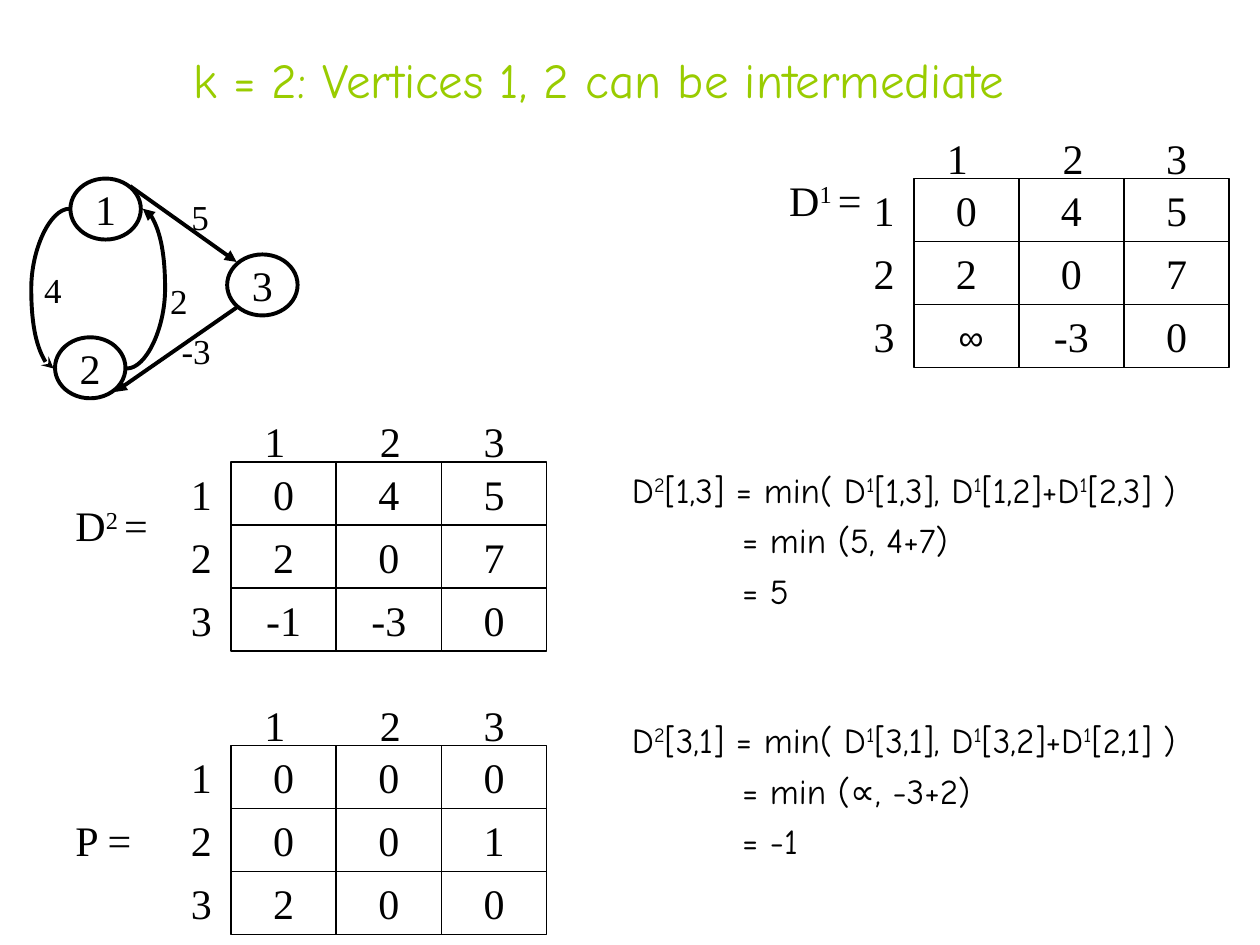
from lxml import etree
from pptx import Presentation
from pptx.dml.color import RGBColor
from pptx.enum.shapes import MSO_CONNECTOR, MSO_SHAPE
from pptx.enum.text import MSO_ANCHOR, PP_ALIGN
from pptx.oxml.ns import qn
from pptx.util import Cm, Pt

RECTANGLE, OVAL = MSO_SHAPE.RECTANGLE, MSO_SHAPE.OVAL
STRAIGHT, CURVE = MSO_CONNECTOR.STRAIGHT, MSO_CONNECTOR.CURVE
LEFT, CENTER = PP_ALIGN.LEFT, PP_ALIGN.CENTER
TOP, MIDDLE = MSO_ANCHOR.TOP, MSO_ANCHOR.MIDDLE

SERIF, COMIC, SANS = "Times New Roman", "Comic Neue", "Arial"
BLACK, GREEN = "000000", "99CC00"
CELL_WIDTH, CELL_HEIGHT, LABEL_WIDTH = 2.12, 1.27, 0.93


def colour(value):
    return RGBColor.from_string(value)


def write(para, text, size=24, font=SERIF, ink=BLACK, align=LEFT):
    """Write text in which ^...^ marks a superscript."""
    para.alignment = align
    for index, part in enumerate(text.split("^")):
        if not part:
            continue
        span = para.add_run()
        span.text = part
        span.font.size, span.font.name = Pt(size), font
        span.font.color.rgb = colour(ink)
        if index % 2:
            span.font._element.set("baseline", "30000")


def add_label(shapes, left, top, width, height, text, **style):
    box = shapes.add_textbox(Cm(left), Cm(top), Cm(width), Cm(height))
    box.text_frame.word_wrap = False
    write(box.text_frame.paragraphs[0], text, **style)
    return box


def add_outlined(shapes, kind, left, top, width, height, weight, text, **style):
    shape = shapes.add_shape(kind, Cm(left), Cm(top), Cm(width), Cm(height))
    shape.shadow.inherit = False
    shape.fill.background()
    shape.line.color.rgb = colour(BLACK)
    shape.line.width = Pt(weight)
    frame = shape.text_frame
    frame.word_wrap = False
    frame.vertical_anchor = MIDDLE
    write(frame.paragraphs[0], text, align=CENTER, **style)


def add_arrow(shapes, kind, start, end, arrow_end="tailEnd", arrow="triangle", bend=None):
    line = shapes.add_connector(kind, *(Cm(value) for value in start + end))
    line.line.color.rgb = colour(BLACK)
    line.line.width = Pt(2.25)
    properties = line._element.spPr
    etree.SubElement(properties.find(qn("a:ln")), qn(f"a:{arrow_end}"), type=arrow)
    etree.SubElement(properties, qn("a:effectLst"))
    if bend is not None:
        guides = properties.find(qn("a:prstGeom")).get_or_add_avLst()
        etree.SubElement(guides, qn("a:gd"), name="adj1", fmla=f"val {bend}")


def add_title(page, left, top, width, height):
    box = add_label(page.shapes, left, top, width, height,
                    "k = 2: Vertices 1, 2 can be intermediate",
                    size=28, font=COMIC, ink=GREEN, align=CENTER)
    box.text_frame.word_wrap = True
    box.text_frame.vertical_anchor = MIDDLE


def add_matrix(page, left, top, rows):
    """Draw a numbered matrix whose first cell starts at left, top."""
    shapes = page.shapes.add_group_shape().shapes
    for row, values in enumerate(rows):
        for column, value in enumerate(values):
            style = {"size": 20, "font": SANS} if "∞" in value else {}
            add_outlined(shapes, RECTANGLE, left + column * CELL_WIDTH,
                         top + row * CELL_HEIGHT, CELL_WIDTH, CELL_HEIGHT,
                         1, value, **style)
    # Column numbers above, row numbers to the left
    for index, offset in enumerate((0.42, 2.75, 4.84)):
        number = str(index + 1)
        add_label(shapes, left + offset, top - 1.06, LABEL_WIDTH, CELL_HEIGHT, number)
        add_label(shapes, left - 1.06, top + index * CELL_HEIGHT,
                  LABEL_WIDTH, CELL_HEIGHT, number)


def add_graph(page, left, top):
    shapes = page.shapes.add_group_shape().shapes

    def at(x, y):
        return left + x, top + y

    # Vertices
    for name, x, y in (("1", 0.78, 0), ("2", 0.47, 3.2), ("3", 3.94, 1.53)):
        add_outlined(shapes, OVAL, *at(x, y), 1.42, 1.23, 2.25, name)
    # Edges
    add_arrow(shapes, STRAIGHT, at(1.98, 0.15), at(4.13, 1.68))
    add_arrow(shapes, STRAIGHT, at(4.13, 2.6), at(1.68, 4.3))
    add_arrow(shapes, CURVE, at(0.44, 3.83), at(0.76, 0.61),
              "headEnd", "stealth", bend=-140600)
    add_arrow(shapes, CURVE, at(1.92, 3.83), at(2.24, 0.61), bend=240600)
    # Weights
    for weight, x, y, width in (("5", 2.97, 0.21, 0.86), ("-3", 2.77, 2.92, 1.09),
                                ("2", 2.54, 1.91, 0.86), ("4", 0, 1.69, 0.86)):
        add_label(shapes, *at(x, y), width, 1.09, weight, size=20)


def add_calculations(page, left, top, width, height):
    box = page.shapes.add_textbox(Cm(left), Cm(top), Cm(width), Cm(height))
    frame = box.text_frame
    frame.word_wrap = True
    frame.vertical_anchor = TOP
    steps = (
        ("D^2^[1,3] = min( D^1^[1,3], D^1^[1,2]+D^1^[2,3] )", 5),
        ("\t\t= min (5, 4+7)", 5),
        ("\t\t= 5", 5),
        ("D^2^[3,1] = min( D^1^[3,1], D^1^[3,2]+D^1^[2,1] )", 61),
        ("\t\t= min (∝, -3+2)", 5),
        ("\t\t= -1", 5),
    )
    for index, (text, gap) in enumerate(steps):
        para = frame.add_paragraph() if index else frame.paragraphs[0]
        para.space_before = Pt(gap)
        indents = para._p.get_or_add_pPr()
        indents.set("marL", str(Cm(0.95)))
        indents.set("indent", str(Cm(-0.95)))
        write(para, text, size=20, font=COMIC)


def main():
    deck = Presentation()
    deck.slide_width, deck.slide_height = Cm(25.4), Cm(19.05)
    page = deck.slides.add_slide(deck.slide_layouts[6])

    # Distances after the step, and the vertices passed through
    add_label(page.shapes, 1.06, 9.95, 2.24, 1.27, " D^2 ^=")
    add_matrix(page, 4.66, 9.31, (("0", "4", "5"), ("2", "0", "7"), ("-1", "-3", "0")))
    add_label(page.shapes, 1.27, 16.3, 1.68, 1.27, "P =")
    add_matrix(page, 4.66, 15.03, (("0", "0", "0"), ("0", "0", "1"), ("2", "0", "0")))

    add_calculations(page, 12.49, 9.31, 12.7, 8.47)
    add_graph(page, 0.64, 3.6)

    # Distances before the step
    add_label(page.shapes, 15.45, 3.39, 2.24, 1.27, " D^1 ^=")
    add_matrix(page, 18.42, 3.6, (("0", "4", "5"), ("2", "0", "7"), (" ∞", "-3", "0")))

    add_title(page, 0, 0, 24.13, 3.18)
    deck.save("out.pptx")


if __name__ == "__main__":
    main()
